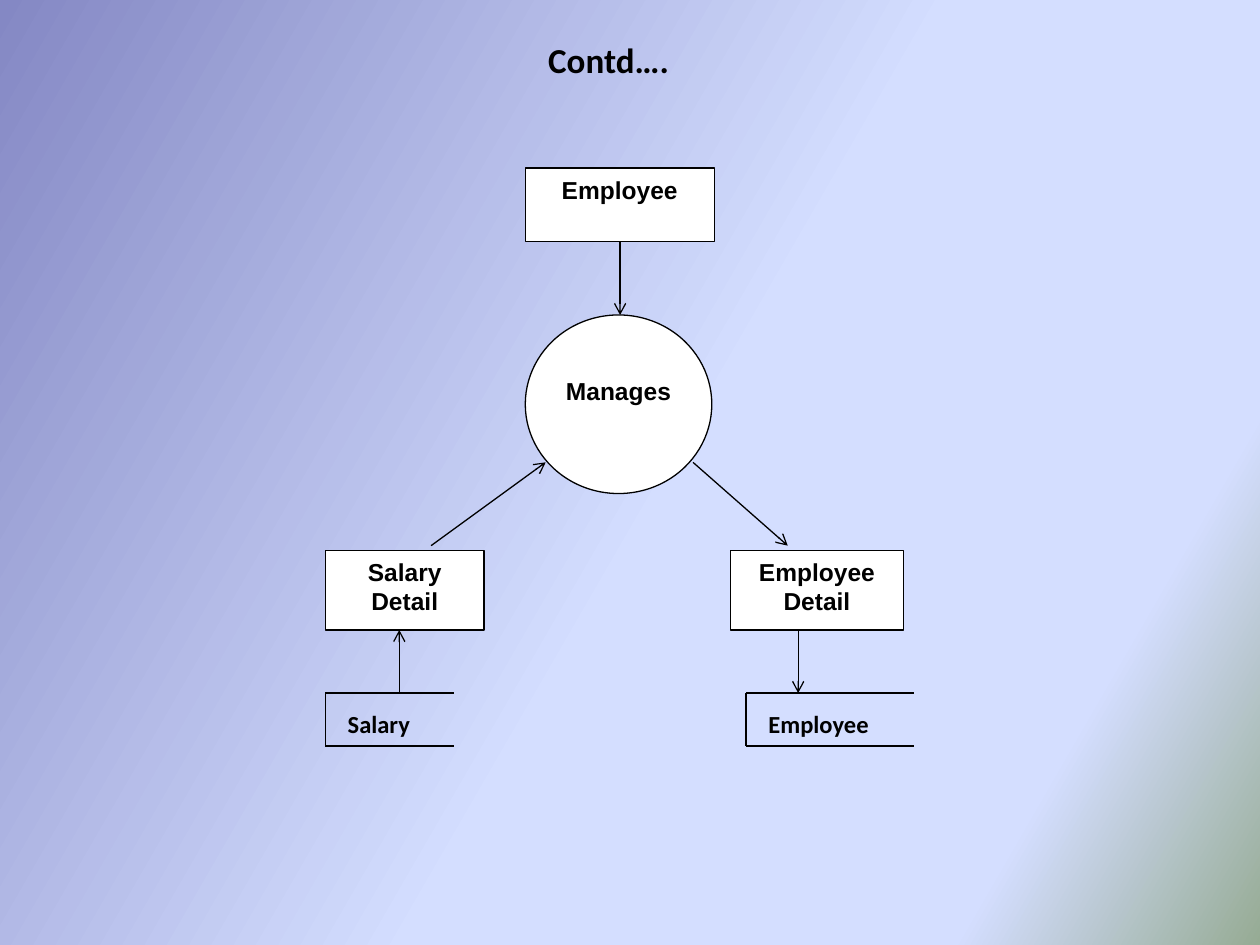
from dataclasses import dataclass

from lxml import etree
from pptx import Presentation
from pptx import util as u
from pptx.dml.color import RGBColor
from pptx.enum import shapes, text
from pptx.oxml.ns import qn


@dataclass(frozen=True)
class Theme:
    ink: str = "000000"
    paper: str = "FFFFFF"
    backdrop: tuple = ((0, "8488C4"), (53, "D4DEFF"), (83, "D4DEFF"), (100, "96AB94"))
    backdrop_angle: int = 30
    title_size: int = 20
    body_size: int = 14
    line_width: float = 0.75
    heading_font: str = "Calibri"
    shape_font: str = "Arial"


THEME = Theme()


def paint_background(slide):
    fill = slide.background.fill
    fill.gradient()
    gradient = slide.background._cSld.find(".//" + qn("a:gradFill"))
    stops = gradient.find(qn("a:gsLst"))
    for stop in list(stops):
        stops.remove(stop)
    for percent, color in THEME.backdrop:
        stop = etree.SubElement(stops, qn("a:gs"), pos=str(percent * 1000))
        etree.SubElement(stop, qn("a:srgbClr"), val=color)
    direction = gradient.find(qn("a:lin"))
    direction.set("ang", str(THEME.backdrop_angle * 60000))
    direction.set("scaled", "0")


def write_text(shape, content, *, font=THEME.shape_font, size=THEME.body_size,
               align=text.PP_ALIGN.CENTER, anchor=text.MSO_ANCHOR.TOP,
               wrap=True, top_margin=0.13):
    frame = shape.text_frame
    frame.word_wrap = wrap
    frame.auto_size = text.MSO_AUTO_SIZE.NONE
    frame.vertical_anchor = anchor
    frame.margin_left = frame.margin_right = u.Cm(0.25)
    frame.margin_top, frame.margin_bottom = u.Cm(top_margin), u.Cm(0.13)
    paragraph = frame.paragraphs[0]
    paragraph.alignment = align
    run = paragraph.add_run()
    run.text = content
    run.font.name = font
    run.font.size = u.Pt(size)
    run.font.bold = True
    run.font.color.rgb = RGBColor.from_string(THEME.ink)


def style_line(line):
    line.color.rgb = RGBColor.from_string(THEME.ink)
    line.width = u.Pt(THEME.line_width)


def add_line(slide, start, end, arrow=False):
    connector = slide.shapes.add_connector(
        shapes.MSO_CONNECTOR.STRAIGHT, *map(u.Cm, (*start, *end)))
    style_line(connector.line)
    properties = connector._element.spPr
    if arrow:
        etree.SubElement(properties.find(qn("a:ln")), qn("a:tailEnd"), type="arrow")
    etree.SubElement(properties, qn("a:effectLst"))


def add_node(slide, box, content, kind=shapes.MSO_SHAPE.RECTANGLE, **text_format):
    shape = slide.shapes.add_shape(kind, *map(u.Cm, box))
    shape.shadow.inherit = False
    shape.fill.solid()
    shape.fill.fore_color.rgb = RGBColor.from_string(THEME.paper)
    style_line(shape.line)
    write_text(shape, content, **text_format)


def add_data_store(slide, box, label):
    """Draw a box open on its right side, with its label inside."""
    left, top, width, height = box
    right, bottom = left + width, top + height
    add_line(slide, (left, top), (right, top))
    add_line(slide, (left, bottom), (right, bottom))
    add_line(slide, (left, top), (left, bottom))
    label_box = slide.shapes.add_textbox(
        *map(u.Cm, (left + 0.2, top + 0.2, width - 0.6, height - 0.2)))
    write_text(label_box, label, font=THEME.heading_font,
               align=text.PP_ALIGN.LEFT, wrap=False)


def add_title(slide, box, content):
    title = slide.shapes.title
    title.left, title.top, title.width, title.height = map(u.Cm, box)
    write_text(title, content, font=THEME.heading_font, size=THEME.title_size,
               align=text.PP_ALIGN.LEFT, wrap=False)


def add_data_flow(slide, box):
    left, top, _, height = box

    def at(x, y, *size):
        return (left + x, top + y, *size)

    center_x, circle_top, circle_height = 4.03, 2.96, 3.6
    detail_top, detail_height = 7.71, 1.6
    detail_bottom = detail_top + detail_height
    store_height = 1.07
    store_top = height - store_height

    add_node(slide, at(center_x, 0, 3.81, 1.48), "Employee")
    add_node(slide, at(center_x, circle_top, 3.76, circle_height), "Manages",
             kind=shapes.MSO_SHAPE.OVAL, top_margin=0.7)
    for x, width, label in ((0, 3.2, "Salary Detail"), (8.17, 3.48, "Employee Detail")):
        add_node(slide, at(x, detail_top, width, detail_height), label)
    for x, width, label in ((0, 2.59, "Salary"), (8.48, 3.38, "Employee")):
        add_data_store(slide, at(x, store_top, width, store_height), label)

    flows = (
        ((5.94, 1.48), (5.94, circle_top)),
        ((2.13, 7.61), (4.44, 5.93)),
        ((7.41, 5.93), (9.32, 7.61)),
        ((1.49, store_top), (1.49, detail_bottom)),
        ((9.53, detail_bottom), (9.53, store_top)),
    )
    for start, end in flows:
        add_line(slide, at(*start), at(*end), arrow=True)


def main():
    presentation = Presentation()
    presentation.slide_width, presentation.slide_height = u.Cm(25.4), u.Cm(19.05)
    slide = presentation.slides.add_slide(presentation.slide_layouts[5])
    paint_background(slide)
    add_title(slide, (10.8, 0.64, 3.23, 1.12), "Contd….")
    add_data_flow(slide, (6.56, 3.39, 11.86, 11.65))
    presentation.save("out.pptx")


if __name__ == "__main__":
    main()
